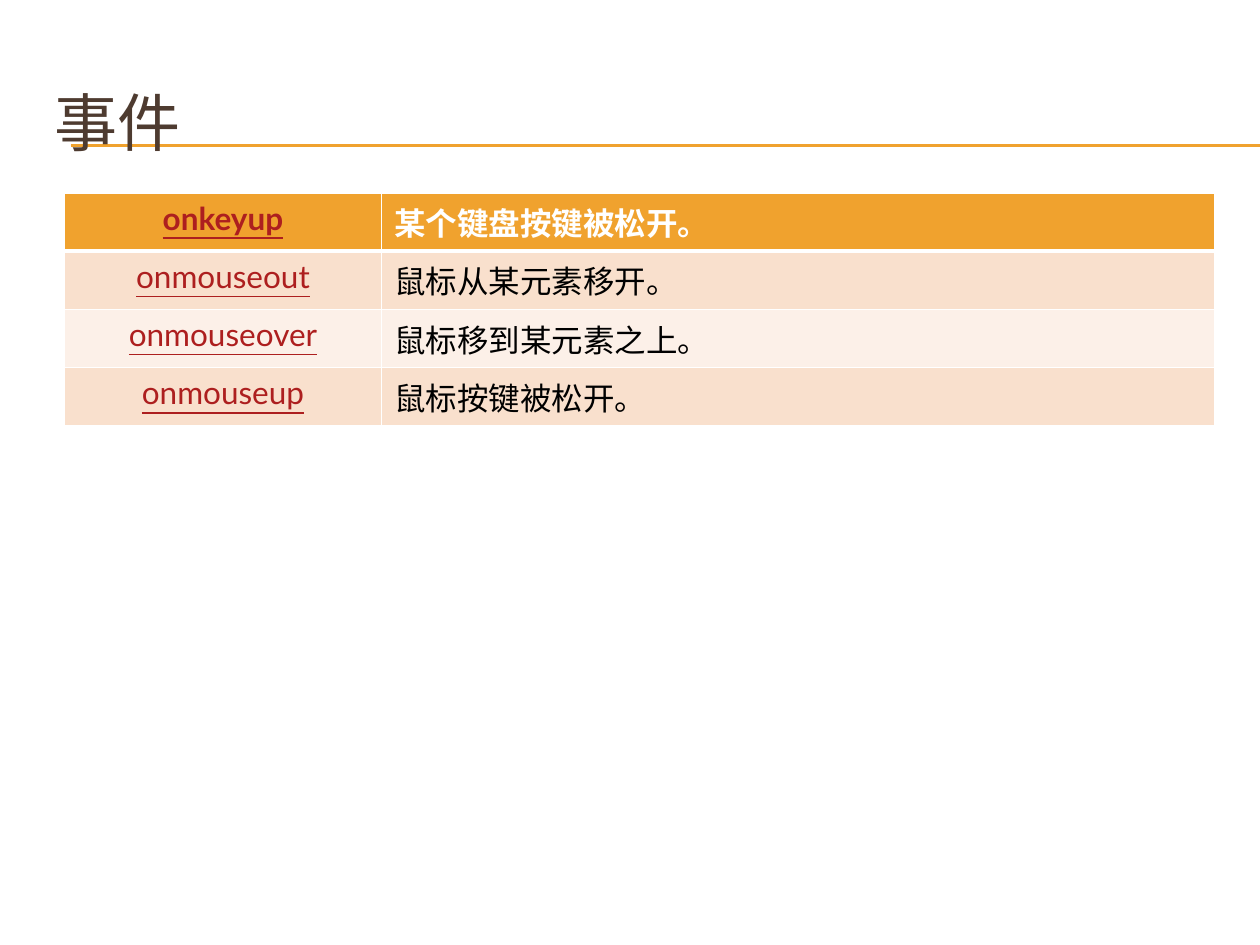
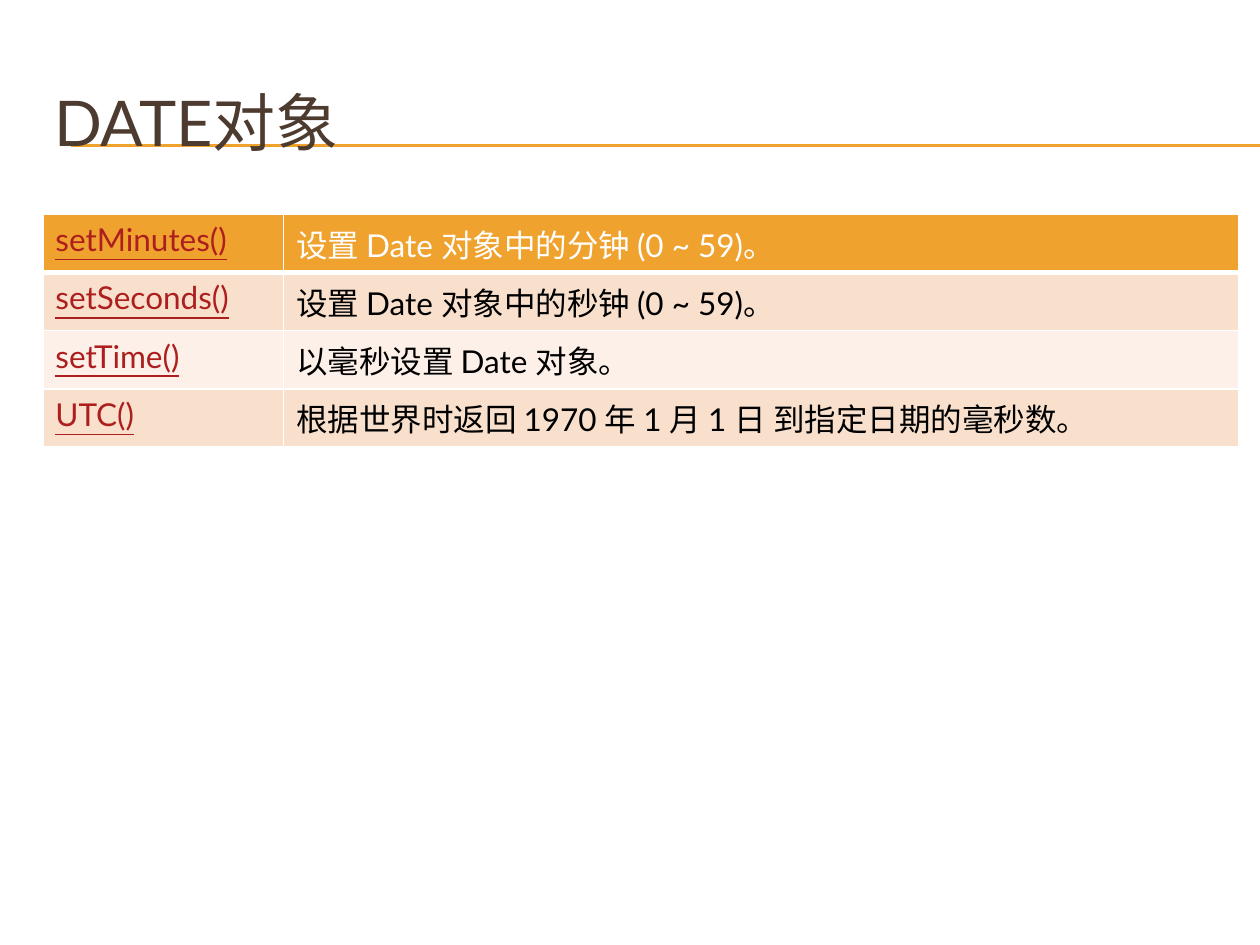
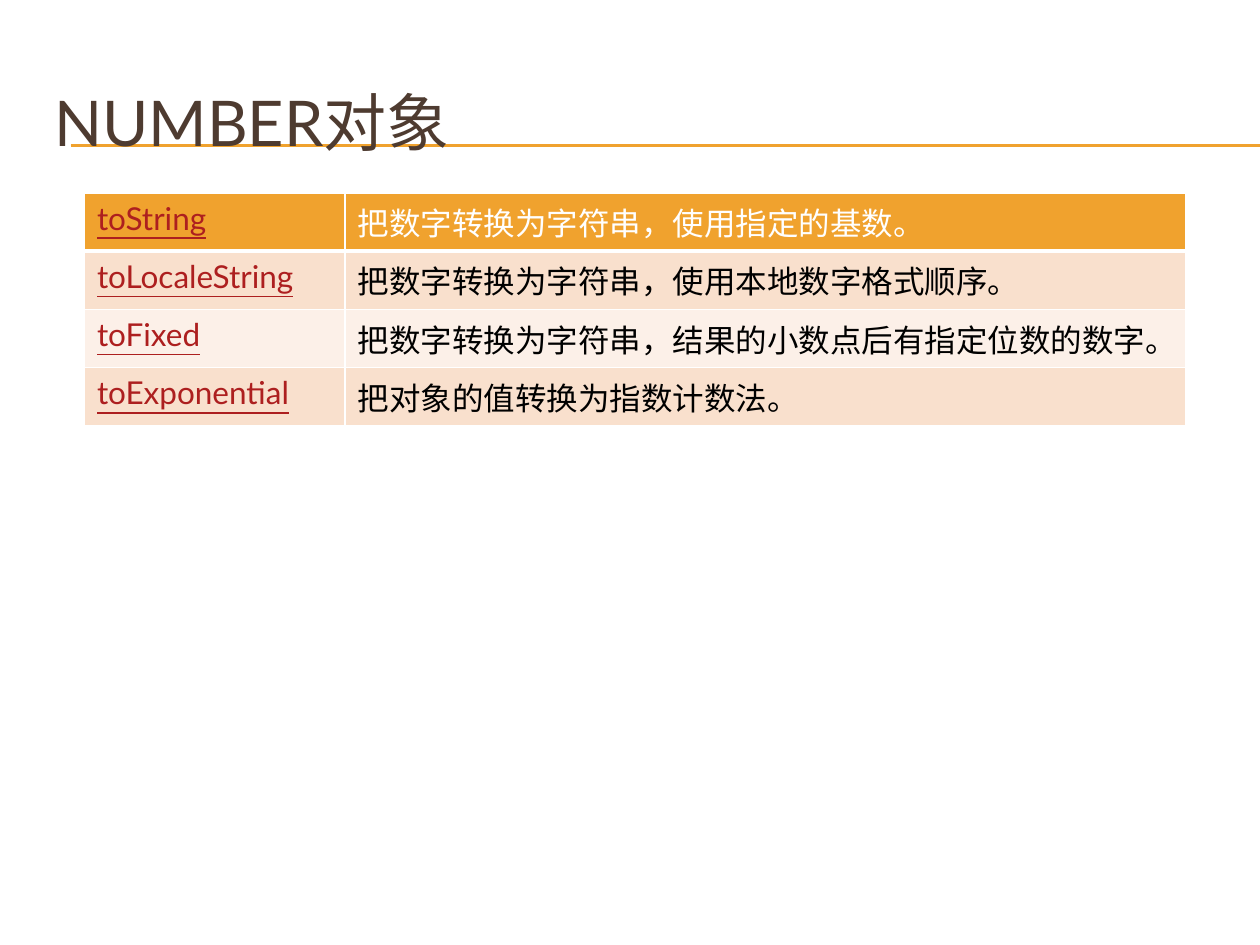
from dataclasses import dataclass

from lxml import etree
from pptx import Presentation
from pptx.dml.color import RGBColor
from pptx.enum.shapes import MSO_CONNECTOR
from pptx.enum.text import MSO_ANCHOR, PP_ALIGN
from pptx.oxml.ns import qn
from pptx.util import Inches, Pt

STRAIGHT = MSO_CONNECTOR.STRAIGHT
MIDDLE = MSO_ANCHOR.MIDDLE
LEFT = PP_ALIGN.LEFT
CENTER = PP_ALIGN.CENTER

SLIDE_WIDTH = Inches(10)
SLIDE_HEIGHT = Inches(7.5)
GRID_COLUMNS = 100
GRID_ROWS = 75
TITLE_ONLY = 5


@dataclass(frozen=True)
class Theme:
    font: str = "Lato"
    title_size: int = 36
    table_size: int = 18
    rule_width: float = 0.75
    border_width: int = 1
    header_border_width: int = 3
    accent: str = "F0A22E"
    title: str = "4E3B30"
    link: str = "AD1F1F"
    body: str = "000000"
    white: str = "FFFFFF"
    bands: tuple = ("F9E0CD", "FCF0E8")


@dataclass(frozen=True)
class Box:
    column: float
    row: float
    columns: float
    rows: float


THEME = Theme()
TITLE_BOX = Box(3.3, 5, 95, 9.2)
RULE_BOX = Box(5.6, 11.5, 94.4, 0.1)
TABLE_ROWS = 16.2

REFERENCE_SLIDES = [
    {
        "title": "事件",
        "box": Box(5.1, 15.3, 91.3, TABLE_ROWS),
        "name_columns": 25.2,
        "name_alignment": CENTER,
        "bold_header": True,
        "entries": [
            ("onkeyup", "某个键盘按键被松开。"),
            ("onmouseout", "鼠标从某元素移开。"),
            ("onmouseover", "鼠标移到某元素之上。"),
            ("onmouseup", "鼠标按键被松开。"),
        ],
    },
    {
        "title": "DATE对象",
        "box": Box(3.4, 17, 94.9, TABLE_ROWS),
        "name_columns": 19.1,
        "entries": [
            ("setMinutes()", "设置 Date 对象中的分钟 (0 ~ 59)。"),
            ("setSeconds()", "设置 Date 对象中的秒钟 (0 ~ 59)。"),
            ("setTime()", "以毫秒设置 Date 对象。"),
            ("UTC()", "根据世界时返回 1970 年 1 月 1 日 到指定日期的毫秒数。"),
        ],
    },
    {
        "title": "NUMBER对象",
        "box": Box(6.7, 15.3, 87.4, TABLE_ROWS),
        "name_columns": 20.7,
        "entries": [
            ("toString", "把数字转换为字符串，使用指定的基数。"),
            ("toLocaleString", "把数字转换为字符串，使用本地数字格式顺序。"),
            ("toFixed", "把数字转换为字符串，结果的小数点后有指定位数的数字。"),
            ("toExponential", "把对象的值转换为指数计数法。"),
        ],
    },
]


def across(columns):
    return round(SLIDE_WIDTH * columns / GRID_COLUMNS)


def down(rows):
    return round(SLIDE_HEIGHT * rows / GRID_ROWS)


def place(box):
    return across(box.column), down(box.row), across(box.columns), down(box.rows)


def style_text(text_frame, size, color, alignment=LEFT, bold=False, underline=False):
    for paragraph in text_frame.paragraphs:
        paragraph.alignment = alignment
        for run in paragraph.runs:
            run.font.name = THEME.font
            run.font.size = Pt(size)
            run.font.color.rgb = RGBColor.from_string(color)
            run.font.bold = bold
            run.font.underline = underline


def add_title(slide, box, text):
    title = slide.shapes.title
    title.left, title.top, title.width, title.height = place(box)
    title.text_frame.text = text
    title.text_frame.vertical_anchor = MIDDLE
    style_text(title.text_frame, THEME.title_size, THEME.title)


def add_title_rules(slide, box):
    left, top, width, height = place(box)
    for y in (top, top + height):
        rule = slide.shapes.add_connector(STRAIGHT, left, y, left + width, y)
        rule.line.color.rgb = RGBColor.from_string(THEME.accent)
        rule.line.width = Pt(THEME.rule_width)
        etree.SubElement(rule.element.spPr, qn("a:effectLst"))
        slide.shapes.title.element.addprevious(rule.element)


def set_borders(cell, top_width, bottom_width):
    properties = cell._tc.get_or_add_tcPr()
    side_width = THEME.border_width
    widths = {"L": side_width, "R": side_width, "T": top_width, "B": bottom_width}
    for side, width in widths.items():
        border = etree.SubElement(properties, qn(f"a:ln{side}"), w=str(Pt(width)))
        fill = etree.SubElement(border, qn("a:solidFill"))
        etree.SubElement(fill, qn("a:srgbClr"), val=THEME.white)


def fill_row(table, row, entry, name_alignment, bold):
    is_header = row == 0
    background = THEME.accent if is_header else THEME.bands[(row - 1) % 2]
    description_color = THEME.white if is_header else THEME.body
    top_width = THEME.header_border_width if row == 1 else THEME.border_width
    bottom_width = THEME.header_border_width if is_header else THEME.border_width
    styles = (
        {"color": THEME.link, "alignment": name_alignment, "underline": True},
        {"color": description_color},
    )
    for column, (text, style) in enumerate(zip(entry, styles)):
        cell = table.cell(row, column)
        set_borders(cell, top_width, bottom_width)
        cell.fill.solid()
        cell.fill.fore_color.rgb = RGBColor.from_string(background)
        cell.text_frame.text = text
        style_text(cell.text_frame, THEME.table_size, bold=bold, **style)


def add_reference_table(slide, box, entries, name_columns, name_alignment, bold_header):
    table = slide.shapes.add_table(len(entries), 2, *place(box)).table
    table.horz_banding = False
    table.columns[0].width = across(name_columns)
    table.columns[1].width = across(box.columns - name_columns)
    for row, entry in enumerate(entries):
        fill_row(table, row, entry, name_alignment, bold_header and row == 0)


def add_reference_slide(presentation, title, box, entries, name_columns,
                        name_alignment=LEFT, bold_header=False):
    slide = presentation.slides.add_slide(presentation.slide_layouts[TITLE_ONLY])
    add_title(slide, TITLE_BOX, title)
    add_title_rules(slide, RULE_BOX)
    add_reference_table(slide, box, entries, name_columns, name_alignment, bold_header)


def main():
    presentation = Presentation()
    presentation.slide_width = SLIDE_WIDTH
    presentation.slide_height = SLIDE_HEIGHT
    for content in REFERENCE_SLIDES:
        add_reference_slide(presentation, **content)
    presentation.save("out.pptx")


if __name__ == "__main__":
    main()
